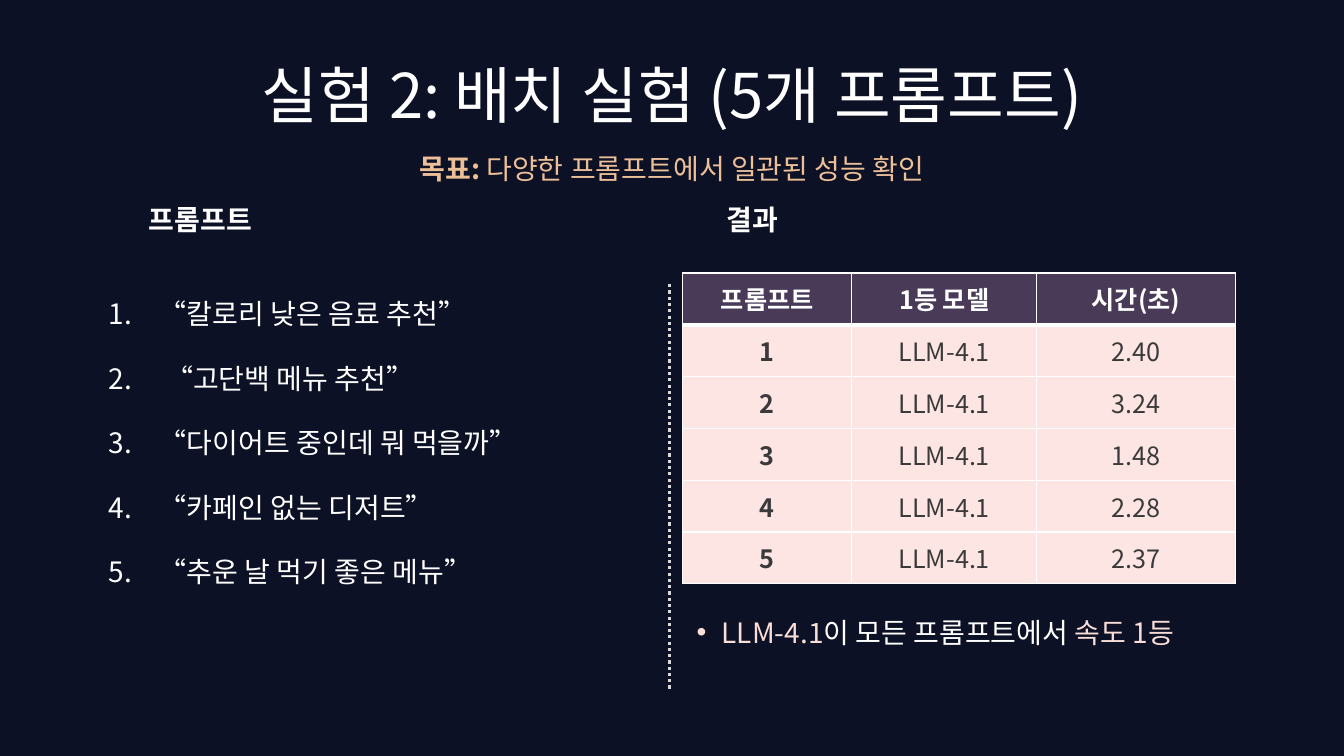
"""Build the batch experiment slide with its prompts and results."""
import pptx
import pptx.util
import pptx.dml.color
import pptx.enum.dml
import pptx.enum.shapes
import pptx.enum.text
import pptx.oxml
import pptx.oxml.ns

Pt = pptx.util.Pt
RGBColor = pptx.dml.color.RGBColor
ALIGN = pptx.enum.text.PP_ALIGN
ANCHOR = pptx.enum.text.MSO_ANCHOR

NAVY = RGBColor(0x0C, 0x11, 0x25)
WHITE = RGBColor(0xFF, 0xFF, 0xFF)
SAND = RGBColor(0xEC, 0xBF, 0x98)
ROSE = RGBColor(0xF9, 0xDD, 0xD7)
PLUM = RGBColor(0x49, 0x3A, 0x58)
BLUSH = RGBColor(0xFC, 0xE5, 0xE2)
DARK = RGBColor(0x3A, 0x3A, 0x3A)
GREY = RGBColor(0xD9, 0xD9, 0xD9)
FONT = "Noto Sans CJK KR"

TITLE = "실험 2: 배치 실험 (5개 프롬프트)"
GOAL = [("목표:", SAND, True), (" 다양한 프롬프트에서 일관된 성능 확인", SAND, False)]
PROMPTS = [
    "“칼로리 낮은 음료 추천”",
    " “고단백 메뉴 추천”",
    "“다이어트 중인데 뭐 먹을까”",
    "“카페인 없는 디저트”",
    "“추운 날 먹기 좋은 메뉴”",
]
MODEL = "LLM-4.1"
HEADS = ["프롬프트", "1등 모델", "시간(초)"]
TIMES = ["2.40", "3.24", "1.48", "2.28", "2.37"]
NOTE = [(MODEL, ROSE, False), ("이 모든 프롬프트에서 ", WHITE, False), ("속도 1등", ROSE, False)]
WIDTHS = [121, 132, 142]
ROW = 37


def make(xml):
    """Parse one DrawingML element."""
    return pptx.oxml.parse_xml(xml.replace(" ", f' {pptx.oxml.ns.nsdecls("a")} ', 1))


def write(para, runs, size=20):
    """Add styled runs to a paragraph."""
    for text, ink, bold in runs:
        run = para.add_run()
        run.text = text
        font = run.font
        font.size, font.bold, font.name = Pt(size), bold, FONT
        font.color.rgb = ink
        run._r.get_or_add_rPr().append(make(f'<a:ea typeface="{FONT}"/>'))


def place(shape, box, left=7.2, anchor=ANCHOR.TOP):
    """Move a text shape and return its frame."""
    shape.left, shape.top, shape.width, shape.height = map(Pt, box)
    frame = shape.text_frame
    frame.word_wrap = True
    frame.auto_size = pptx.enum.text.MSO_AUTO_SIZE.NONE
    frame.vertical_anchor = anchor
    frame.margin_left, frame.margin_right = Pt(left), Pt(7.2)
    frame.margin_top = frame.margin_bottom = Pt(3.6)
    return frame


def head(shape, box, runs, align=ALIGN.LEFT, size=20, gap=0.8, anchor=ANCHOR.TOP):
    """Fill a shape with one line of text."""
    para = place(shape, box, anchor=anchor).paragraphs[0]
    para.alignment, para.line_spacing, para.space_before = align, gap, Pt(0)
    write(para, runs, size)


def items(shape, box, rows, mark, dent):
    """Fill a shape with a marked list."""
    frame = place(shape, box, left=11.5)
    for i, runs in enumerate(rows):
        para = frame.add_paragraph() if i else frame.paragraphs[0]
        para.alignment = ALIGN.LEFT
        para.line_spacing, para.space_before = Pt(36), Pt(10 if i else 0)
        props = para._p.get_or_add_pPr()
        props.set("marL", str(Pt(dent)))
        props.set("indent", str(-Pt(dent)))
        props.append(make('<a:buFont typeface="Arial"/>' if "buChar" in mark
                          else f'<a:buFont typeface="{FONT}"/>'))
        props.append(make(mark))
        write(para, runs)


def fill(cell, text, tone, ink, bold, base):
    """Style one table cell."""
    cell.vertical_anchor = ANCHOR.MIDDLE
    para = cell.text_frame.paragraphs[0]
    para.alignment = ALIGN.CENTER
    write(para, [(text, ink, bold)], 18)
    props = cell._tc.get_or_add_tcPr()
    for side, size in zip("LRTB", (1, 1, base[0], base[1])):
        props.append(make(f'<a:ln{side} w="{Pt(size)}"><a:solidFill>'
                          f'<a:srgbClr val="{WHITE}"/></a:solidFill></a:ln{side}>'))
    cell.fill.solid()
    cell.fill.fore_color.rgb = tone


def grid(slide):
    """Add the results table."""
    rows = [HEADS] + [[str(i), MODEL, time] for i, time in enumerate(TIMES, 1)]
    table = slide.shapes.add_table(len(rows), len(HEADS), Pt(487.5), Pt(195),
                                   Pt(sum(WIDTHS)), Pt(ROW * len(rows))).table
    for col, width in zip(table.columns, WIDTHS):
        col.width = Pt(width)
    for r, row in enumerate(rows):
        table.rows[r].height = Pt(ROW)
        tone, ink = (BLUSH, DARK) if r else (PLUM, WHITE)
        base = (3 if r == 1 else 1, 1 if r else 3)
        for c, text in enumerate(row):
            fill(table.cell(r, c), text, tone, ink, r == 0 or c == 0, base)


def rule(slide):
    """Add the dotted line between the halves."""
    line = slide.shapes.add_connector(pptx.enum.shapes.MSO_CONNECTOR.STRAIGHT,
                                      Pt(478), Pt(203), Pt(478), Pt(492.5))
    line.line.color.rgb = GREY
    line.line.width = Pt(2.25)
    line.line.dash_style = pptx.enum.dml.MSO_LINE.ROUND_DOT
    line._element.spPr.append(make("<a:effectLst />"))


def main():
    """Build and save the deck."""
    deck = pptx.Presentation()
    deck.slide_width, deck.slide_height = Pt(960), Pt(540)
    slide = deck.slides.add_slide(deck.slide_layouts[4])
    slide.background.fill.solid()
    slide.background.fill.fore_color.rgb = NAVY
    title, left, prompts, right, note = slide.placeholders
    rule(slide)
    head(title, (66, 40, 828, 60.5), [(TITLE, WHITE, False)],
         ALIGN.CENTER, 44, 0.9, ANCHOR.MIDDLE)
    goal = slide.shapes.add_textbox(Pt(66), Pt(109), Pt(828), Pt(27))
    head(goal, (66, 109, 828, 27), GOAL, ALIGN.CENTER)
    for shape, x, text in ((left, 99, "프롬프트"), (right, 512, "결과")):
        head(shape, (x, 145.5, 382, 34.5), [(text, WHITE, True)])
    items(prompts, (66, 196.5, 406, 296), [[(text, WHITE, False)] for text in PROMPTS],
          '<a:buAutoNum type="arabicPeriod"/>', 36)
    items(note, (486, 424, 408, 55), [NOTE], '<a:buChar char="•"/>', 18)
    grid(slide)
    deck.save("out.pptx")


if __name__ == "__main__":
    main()
